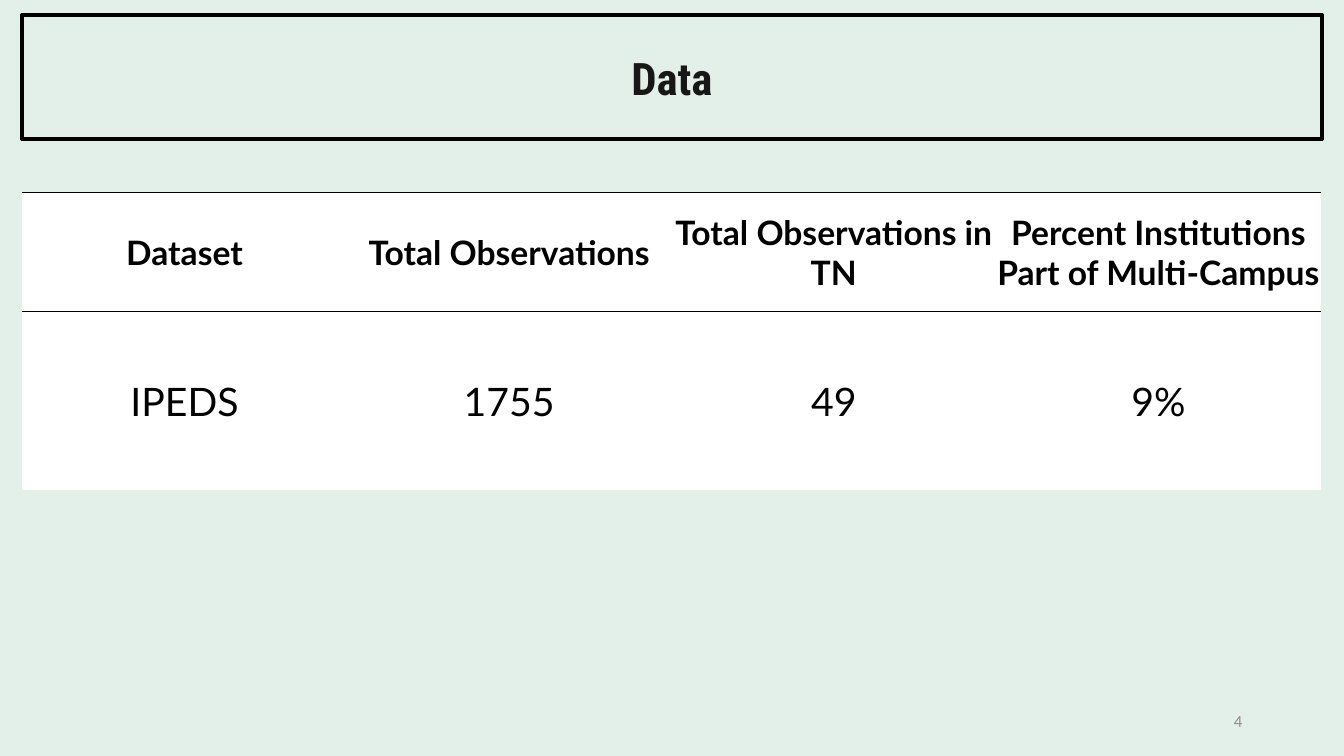
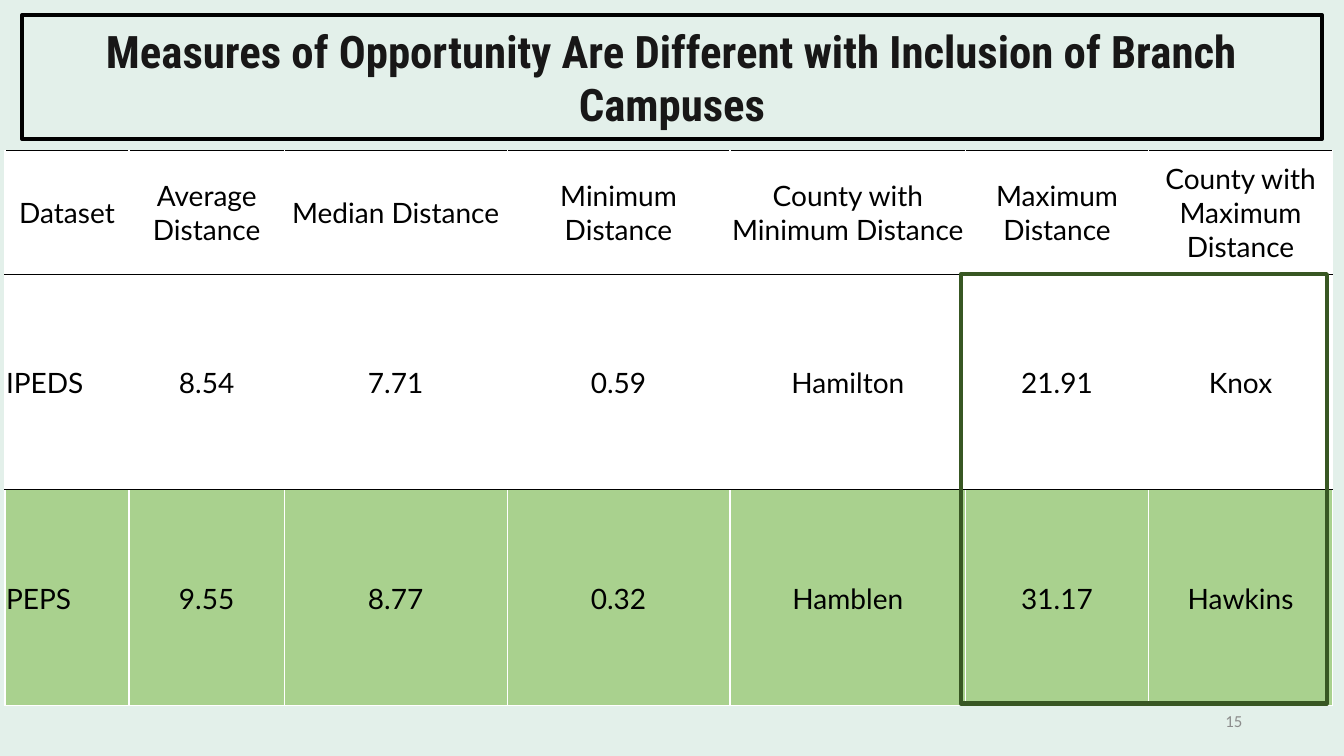
"""Build two slides of data tables under a framed title."""
from lxml import etree
from pptx import Presentation
from pptx.dml.color import RGBColor
from pptx.enum.shapes import MSO_SHAPE
from pptx.enum.text import MSO_ANCHOR, PP_ALIGN
from pptx.oxml.ns import qn
from pptx.util import Emu, Pt

RECTANGLE = MSO_SHAPE.RECTANGLE
MIDDLE = MSO_ANCHOR.MIDDLE
LEFT, CENTER, RIGHT = PP_ALIGN.LEFT, PP_ALIGN.CENTER, PP_ALIGN.RIGHT

PX = 9144
COLORS = {
    "page": "E3F0EA",
    "title": "181717",
    "number": "8C8C8C",
    "black": "000000",
    "white": "FFFFFF",
    "green": "A9D18E",
    "frame": "385723",
}
TITLE = {"name": "Roboto Condensed", "size": Pt(32), "bold": True, "color": "title"}
NUMBER = {"name": "Calibri", "size": Pt(12), "bold": False, "color": "number"}
CELL_MARGINS = {
    "margin_left": Emu(PX),
    "margin_top": Emu(PX),
    "margin_right": Emu(PX),
    "margin_bottom": Emu(0),
}


def px(length):
    return Emu(length * PX)


def color(name):
    return RGBColor.from_string(COLORS[name])


def lato(size, bold=False):
    return {"name": "Lato", "size": Pt(size), "bold": bold, "color": "black"}


def apply(target, values):
    for name, value in values.items():
        setattr(target, name, value)


def write(frame, text, style, align):
    paragraph = frame.paragraphs[0]
    paragraph.alignment = align
    span = paragraph.add_run()
    span.text = text
    apply(span.font, {key: value for key, value in style.items() if key != "color"})
    span.font.color.rgb = color(style["color"])


def add_frame(page, area, line):
    box = page.shapes.add_shape(RECTANGLE, *map(px, area))
    box.shadow.inherit = False
    box.fill.background()
    box.line.color.rgb = color(line)
    box.line.width = Pt(3)
    return box


def add_page(deck, title, number):
    page = deck.slides.add_slide(deck.slide_layouts[6])
    page.background.fill.solid()
    page.background.fill.fore_color.rgb = color("page")
    title_box = add_frame(page, (22, 15, 1289, 123), "black")
    number_box = page.shapes.add_textbox(*map(px, (942, 695, 300, 40)))
    for box, text, style, align in (
        (title_box, title, TITLE, CENTER),
        (number_box, number, NUMBER, RIGHT),
    ):
        apply(box.text_frame, {"word_wrap": True, "vertical_anchor": MIDDLE})
        write(box.text_frame, text, style, align)
    return page


def set_borders(cell, borders):
    properties = cell._tc.get_or_add_tcPr()
    for side in "LRTB":
        line = etree.SubElement(properties, qn(f"a:ln{side}"), w=str(Pt(1)))
        if side in borders:
            fill = etree.SubElement(line, qn("a:solidFill"))
            etree.SubElement(fill, qn("a:srgbClr"), val=COLORS[borders[side]])
        else:
            etree.SubElement(line, qn("a:noFill"))


def add_table(page, corner, widths, rows):
    size = sum(widths), sum(row["height"] for row in rows)
    shape = page.shapes.add_table(len(rows), len(widths), *map(px, corner + size))
    table = shape.table
    apply(table, {"first_row": False, "horz_banding": False})
    for column, width in zip(table.columns, widths):
        column.width = px(width)
    for table_row, row in zip(table.rows, rows):
        table_row.height = px(row["height"])
        for index, (cell, text) in enumerate(zip(table_row.cells, row["texts"])):
            apply(cell, {**CELL_MARGINS, "vertical_anchor": MIDDLE})
            set_borders(cell, row["borders"])
            cell.fill.solid()
            cell.fill.fore_color.rgb = color(row["fill"])
            align = row["first_align"] if index == 0 else CENTER
            write(cell.text_frame, text, row["style"], align)


def table_row(height, texts, style, borders, fill="white", first_align=CENTER):
    return {
        "height": height,
        "texts": texts,
        "style": style,
        "borders": borders,
        "fill": fill,
        "first_align": first_align,
    }


def build_data(deck):
    page = add_page(deck, "Data", "4")
    headings = (
        "Dataset",
        "Total Observations",
        "Total Observations in TN",
        "Percent Institutions Part of Multi-Campus",
    )
    ruled = {"T": "black", "B": "black"}
    add_table(page, (22, 191), [322] * 4, [
        table_row(118, headings, lato(24, True), ruled),
        table_row(177, ("IPEDS", "1755", "49", "9%"), lato(28), {"T": "black"}),
    ])


def build_measures(deck):
    title = "Measures of Opportunity Are Different with Inclusion of Branch Campuses"
    page = add_page(deck, title, "15")
    headings = (
        "Dataset",
        "Average Distance",
        "Median Distance",
        "Minimum Distance",
        "County with Minimum Distance",
        "Maximum Distance",
        "County with Maximum Distance",
    )
    ipeds = ("IPEDS", "8.54", "7.71", "0.59", "Hamilton", "21.91", "Knox")
    peps = ("PEPS", "9.55", "8.77", "0.32", "Hamblen", "31.17", "Hawkins")
    ruled = {"L": "white", "R": "white", "T": "black", "B": "black"}
    closing = {**ruled, "B": "white"}
    style = lato(20)
    add_table(page, (5, 149), [123, 154, 221, 221, 234, 181, 183], [
        table_row(123, headings, style, ruled),
        table_row(214, ipeds, style, ruled, first_align=LEFT),
        table_row(214, peps, style, closing, "green", LEFT),
    ])
    add_frame(page, (953, 272, 363, 426), "frame")


def main():
    deck = Presentation()
    apply(deck, {"slide_width": px(1333), "slide_height": px(750)})
    build_data(deck)
    build_measures(deck)
    deck.save("out.pptx")


if __name__ == "__main__":
    main()
